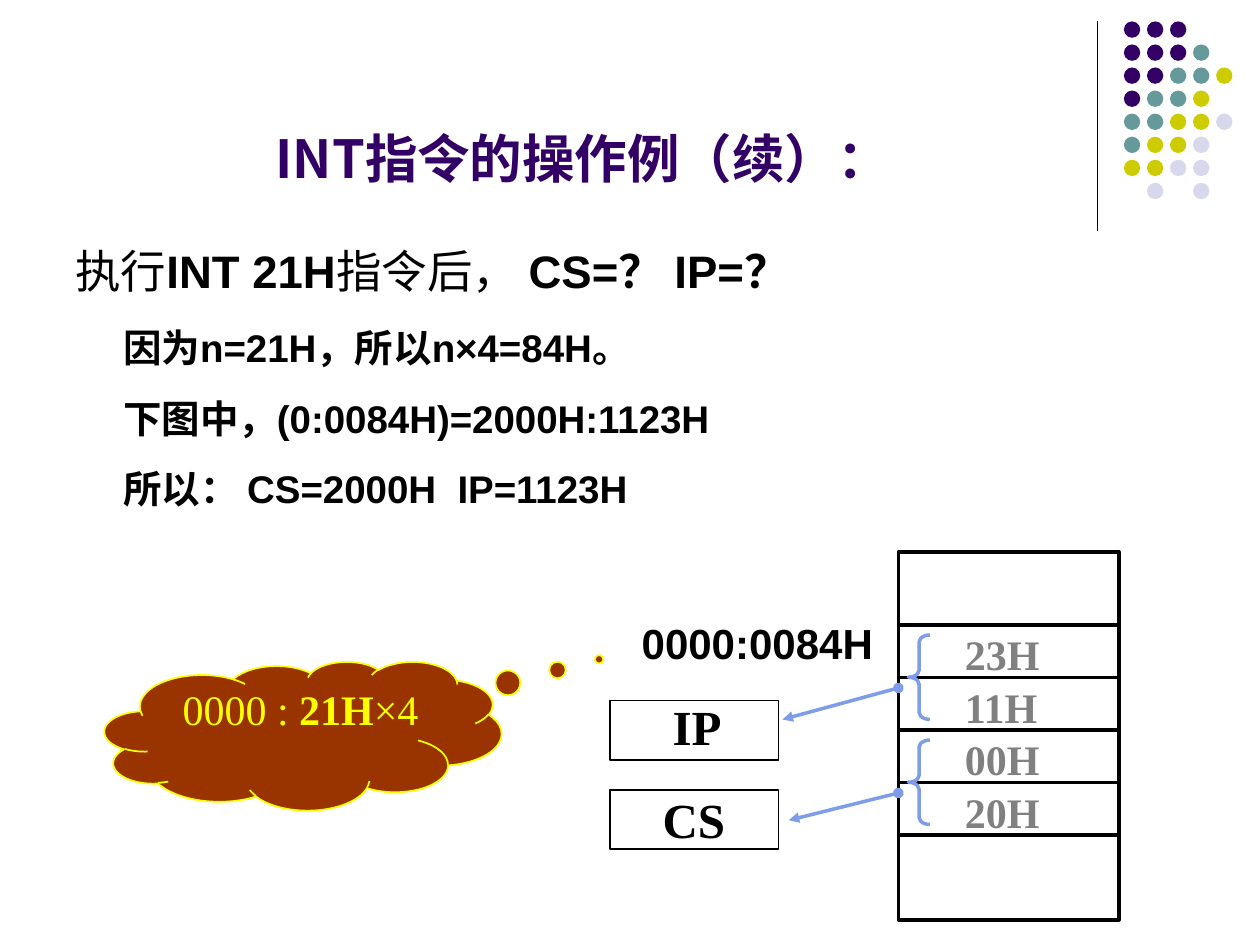
from pptx import Presentation
from pptx.dml.color import RGBColor
from pptx.enum.shapes import MSO_CONNECTOR, MSO_SHAPE
from pptx.enum.text import MSO_ANCHOR, PP_ALIGN
from pptx.oxml.ns import qn
from pptx.util import Inches, Pt
from lxml.etree import SubElement

BLACK = RGBColor(0x00, 0x00, 0x00)
PURPLE = RGBColor(0x33, 0x00, 0x66)
TEAL = RGBColor(0x66, 0x99, 0x99)
OLIVE = RGBColor(0xCC, 0xCC, 0x00)
LAVENDER = RGBColor(0xD8, 0xD8, 0xEC)
GREY = RGBColor(0x80, 0x80, 0x80)
BLUE = RGBColor(0x7E, 0x9C, 0xE8)
BROWN = RGBColor(0x99, 0x33, 0x00)
YELLOW = RGBColor(0xFF, 0xFF, 0x00)
CJK, SANS, SERIF = "Noto Sans CJK SC", "Arial", "Times New Roman"

# A paragraph is a list of (text, bold) runs.
TITLE = [("INT指令的操作例（续）：", True)]
QUESTION = [("执行", False), ("INT 21H", True), ("指令后， ", False), ("CS=？ IP=？", True)]
STEPS = ["因为n=21H，所以n×4=84H。", "下图中，(0:0084H)=2000H:1123H", "所以： CS=2000H  IP=1123H"]
CLOUD = [("0000 : ", False), ("21H", True), ("×4", False)]
MEMORY = ["23H", "11H", "00H", "20H"]
# name, name left and top, box top, arrow tip
REGISTERS = [("IP", 5.24, 5.48, 5.56, (6.21, 5.71)),
             ("CS", 5.16, 6.22, 6.27, (6.26, 6.51))]
DOTS = ["PPP", "PPPT", "PPTTO", "PTTO", "TTOOL", "TOOL", "OOLL", " L L"]
DOT_COLOURS = {"P": PURPLE, "T": TEAL, "O": OLIVE, "L": LAVENDER}

DOT_X, DOT_Y, DOT_SIZE, DOT_STEP = 8.92, 0.17, 0.13, 0.183
MEM_X, MEM_Y, MEM_W, MEM_H = 7.13, 4.38, 1.75, 2.92
CELL_Y, CELL_H = 4.96, 0.417

prs = Presentation()
prs.slide_width, prs.slide_height = Inches(10), Inches(7.5)
s = prs.slides.add_slide(prs.slide_layouts[6])


def add_runs(p, runs, size, font=SANS, color=BLACK, align=PP_ALIGN.LEFT,
             before=0, after=0, left=0, first=0):
    p.alignment = align
    p.space_before, p.space_after = Pt(before), Pt(after)
    if left:
        pPr = p._p.get_or_add_pPr()
        pPr.set("marL", str(Inches(left)))
        pPr.set("indent", str(Inches(first)))
    for text, bold in runs:
        r = p.add_run()
        r.text = text
        r.font.size, r.font.bold, r.font.name = Pt(size), bold, font
        r.font.color.rgb = color
        SubElement(r._r.get_or_add_rPr(), qn("a:ea")).set("typeface", CJK)


def add_text(x, y, w, h, runs, size, anchor=MSO_ANCHOR.TOP, inset=0.1, **fmt):
    tf = s.shapes.add_textbox(Inches(x), Inches(y), Inches(w), Inches(h)).text_frame
    tf.word_wrap = True
    tf.vertical_anchor = anchor
    tf.margin_left = tf.margin_right = Inches(inset)
    add_runs(tf.paragraphs[0], runs, size, **fmt)
    return tf


def add_shape(kind, x, y, w, h, fill=None, line=None, width=1):
    sp = s.shapes.add_shape(kind, Inches(x), Inches(y), Inches(w), Inches(h))
    sp.shadow.inherit = False
    if fill is None:
        sp.fill.background()
    else:
        sp.fill.solid()
        sp.fill.fore_color.rgb = fill
    if line is None:
        sp.line.fill.background()
    else:
        sp.line.color.rgb = line
        sp.line.width = Pt(width)
    return sp


def add_line(x1, y1, x2, y2, color=BLACK, width=2, head=None, tail=None):
    c = s.shapes.add_connector(MSO_CONNECTOR.STRAIGHT, Inches(x1), Inches(y1),
                               Inches(x2), Inches(y2))
    c.line.color.rgb = color
    c.line.width = Pt(width)
    for tag, end in (("a:headEnd", head), ("a:tailEnd", tail)):
        if end:
            SubElement(c.line._get_or_add_ln(), qn(tag)).set("type", end)
    SubElement(c._element.spPr, qn("a:effectLst"))


# Corner decoration
add_line(8.71, 0.17, 8.71, 1.83, width=0.75)
for row, dots in enumerate(DOTS):
    for col, key in enumerate(dots):
        if key in DOT_COLOURS:
            add_shape(MSO_SHAPE.OVAL, DOT_X + col * DOT_STEP, DOT_Y + row * DOT_STEP,
                      DOT_SIZE, DOT_SIZE, fill=DOT_COLOURS[key])

# Title and explanation
add_text(0.5, 0.4, 8.25, 1.15, TITLE, 30, anchor=MSO_ANCHOR.BOTTOM,
         font=CJK, color=PURPLE, align=PP_ALIGN.CENTER)
body = add_text(0.5, 1.88, 9, 4.82, QUESTION, 26, after=9.8, left=0.38, first=-0.38)
for step in STEPS:
    add_runs(body.add_paragraph(), [(step, True)], 22, before=5.5, after=8.2,
             left=0.76, first=-0.38)

# Memory column
add_shape(MSO_SHAPE.RECTANGLE, MEM_X, MEM_Y, MEM_W, MEM_H, line=BLACK, width=2)
for i in range(len(MEMORY) + 1):
    y = CELL_Y + i * CELL_H
    add_line(MEM_X, y, MEM_X + MEM_W, y)
add_text(4.84, 4.85, 2.18, 0.5, [("0000:0084H ", True)], 24, inset=0, align=PP_ALIGN.RIGHT)
for i, value in enumerate(MEMORY):
    add_text(7.56, 4.94 + i * CELL_H, 1.17, 0.5, [(value, True)], 24, font=SERIF, color=GREY)

# Each register takes one pair of memory cells
for i, (name, x, y, box_y, tip) in enumerate(REGISTERS):
    pair_y = CELL_Y + 2 * i * CELL_H
    brace = add_shape(MSO_SHAPE.LEFT_BRACE, 7.21, pair_y + 0.08, 0.17, 0.67, line=BLUE, width=2)
    brace.adjustments[0] = 0.33
    add_line(MEM_X, pair_y + 0.5, *tip, color=BLUE, head="oval", tail="triangle")
    add_text(x, y, 0.75, 0.57, [(name, True)], 28, font=SERIF)
    add_shape(MSO_SHAPE.RECTANGLE, 4.84, box_y, 1.34, 0.47, line=BLACK)

# Address thought cloud
cloud = add_shape(MSO_SHAPE.CLOUD_CALLOUT, 0.83, 5.25, 3.15, 1.18, fill=BROWN, line=YELLOW)
cloud.adjustments[0], cloud.adjustments[1] = 0.746, -0.515
tf = cloud.text_frame
tf.margin_left = tf.margin_right = tf.margin_top = tf.margin_bottom = 0
tf.vertical_anchor = MSO_ANCHOR.TOP
add_runs(tf.paragraphs[0], CLOUD, 24, font=SERIF, color=YELLOW, align=PP_ALIGN.RIGHT)

prs.save("out.pptx")
